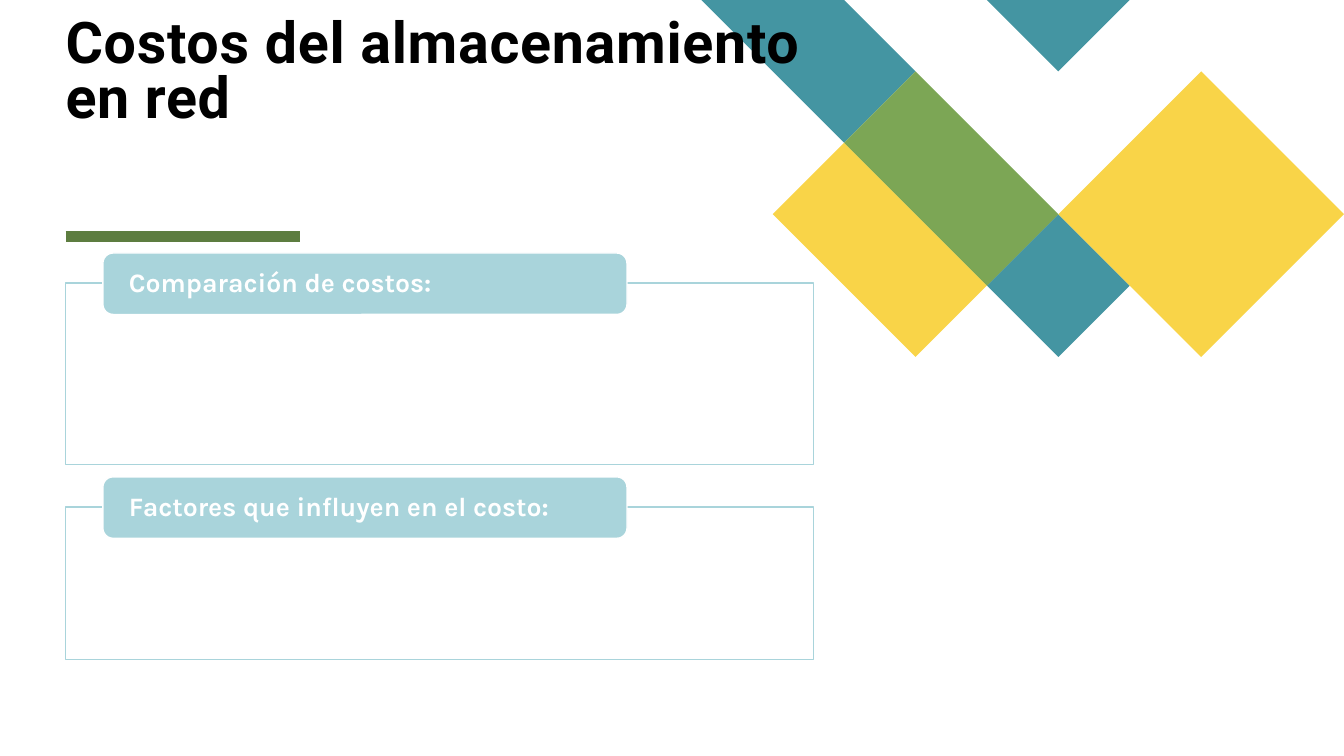
import pptx
import pptx.dml.color
import pptx.enum.shapes
import pptx.enum.text
import pptx.oxml.xmlchemy
import pptx.util
from lxml import etree
from pptx.oxml.ns import qn

Pt = pptx.util.Pt
SHAPE = pptx.enum.shapes.MSO_SHAPE
ANCHOR = pptx.enum.text.MSO_ANCHOR
ALIGN = pptx.enum.text.PP_ALIGN

COLORS = {
    "teal": "4495A2",
    "yellow": "F9D448",
    "leaf": "7CA655",
    "moss": "5D7D40",
    "sky": "A9D4DB",
    "white": "FFFFFF",
    "black": "000000",
}


def rgb(name):
    return pptx.dml.color.RGBColor.from_string(COLORS[name])


def add_text(frame, text, font_name, size, color, spacing):
    para = frame.paragraphs[0]
    para.alignment = ALIGN.LEFT
    para.line_spacing = spacing
    span = para.add_run()
    span.text = text
    span.font.name = font_name
    span.font.size = Pt(size)
    span.font.bold = True
    span.font.color.rgb = rgb(color)
    return span


deck = pptx.Presentation()
deck.slide_width, deck.slide_height = Pt(960), Pt(540)
page = deck.slides.add_slide(deck.slide_layouts[5])
shapes = page.shapes

# Diamond pattern, in grid steps from the top left of the pattern
STEP, PATTERN_LEFT = 51, 501
tiles = [
    ("teal", [(0, 0), (2, 0), (3, 1), (2, 2)]),
    ("teal", [(5, 3), (6, 4), (5, 5), (4, 4)]),
    ("yellow", [(2, 2), (4, 4), (3, 5), (1, 3)]),
    ("teal", [(4, 0), (6, 0), (5, 1)]),
    ("leaf", [(3, 1), (5, 3), (4, 4), (2, 2)]),
    ("yellow", [(7, 1), (9, 3), (7, 5), (5, 3)]),
]
for color, corners in tiles:
    points = [(PATTERN_LEFT + STEP * column, STEP * row) for column, row in corners]
    outline = shapes.build_freeform(*points[0], scale=Pt(1))
    outline.add_line_segments(points[1:], close=True)
    tile = outline.convert_to_shape()
    tile.shadow.inherit = False
    tile.fill.solid()
    tile.fill.fore_color.rgb = rgb(color)
    tile.line.fill.background()

# Accent rule under the title
rule = shapes.add_connector(
    pptx.enum.shapes.MSO_CONNECTOR.STRAIGHT, Pt(46.8), Pt(169.2), Pt(214.6), Pt(169.2)
)
rule.line.color.rgb = rgb("moss")
rule.line.width = Pt(8)
etree.SubElement(rule._element.spPr, qn("a:effectLst"))

# Title, brought in front of the pattern
title = shapes.title
shapes._spTree.append(title._element)
title.left, title.top, title.width, title.height = Pt(46.8), Pt(15.1), Pt(534.2), Pt(125.3)
frame = title.text_frame
frame.word_wrap = True
frame.auto_size = pptx.enum.text.MSO_AUTO_SIZE.NONE
frame.vertical_anchor = ANCHOR.BOTTOM
frame.margin_left = frame.margin_top = frame.margin_right = 0
frame.margin_bottom = Pt(47.5)
span = add_text(frame, "Costos del almacenamiento en red", "Roboto", 41, "black", 0.8)
span.font._element.set("spc", "50")

# Panels with a label on the top edge
panels = [
    ("Comparación de costos:", 202.3, 129.6),
    ("Factores que influyen en el costo:", 362.2, 108.7),
]
for text, top, height in panels:
    panel = shapes.add_shape(SHAPE.RECTANGLE, Pt(46.8), Pt(top), Pt(534.2), Pt(height))
    label = shapes.add_shape(
        SHAPE.ROUNDED_RECTANGLE, Pt(73.5), Pt(top - 21.6), Pt(374.4), Pt(43.9)
    )
    for shape, fill, line in [(panel, "white", "sky"), (label, "sky", "white")]:
        shape.shadow.inherit = False
        shape.fill.solid()
        shape.fill.fore_color.rgb = rgb(fill)
        shape.line.color.rgb = rgb(line)
        shape.line.width = Pt(1)
    panel_color = panel._element.spPr.find(qn("a:solidFill"))[0]
    etree.SubElement(panel_color, qn("a:alpha"), val="90000")

    frame = label.text_frame
    frame.word_wrap = True
    frame.vertical_anchor = ANCHOR.MIDDLE
    frame.margin_left = frame.margin_right = Pt(16.5)
    frame.margin_top = frame.margin_bottom = 0
    add_text(frame, text, "Karla", 19, "white", 0.9)

deck.save("out.pptx")
